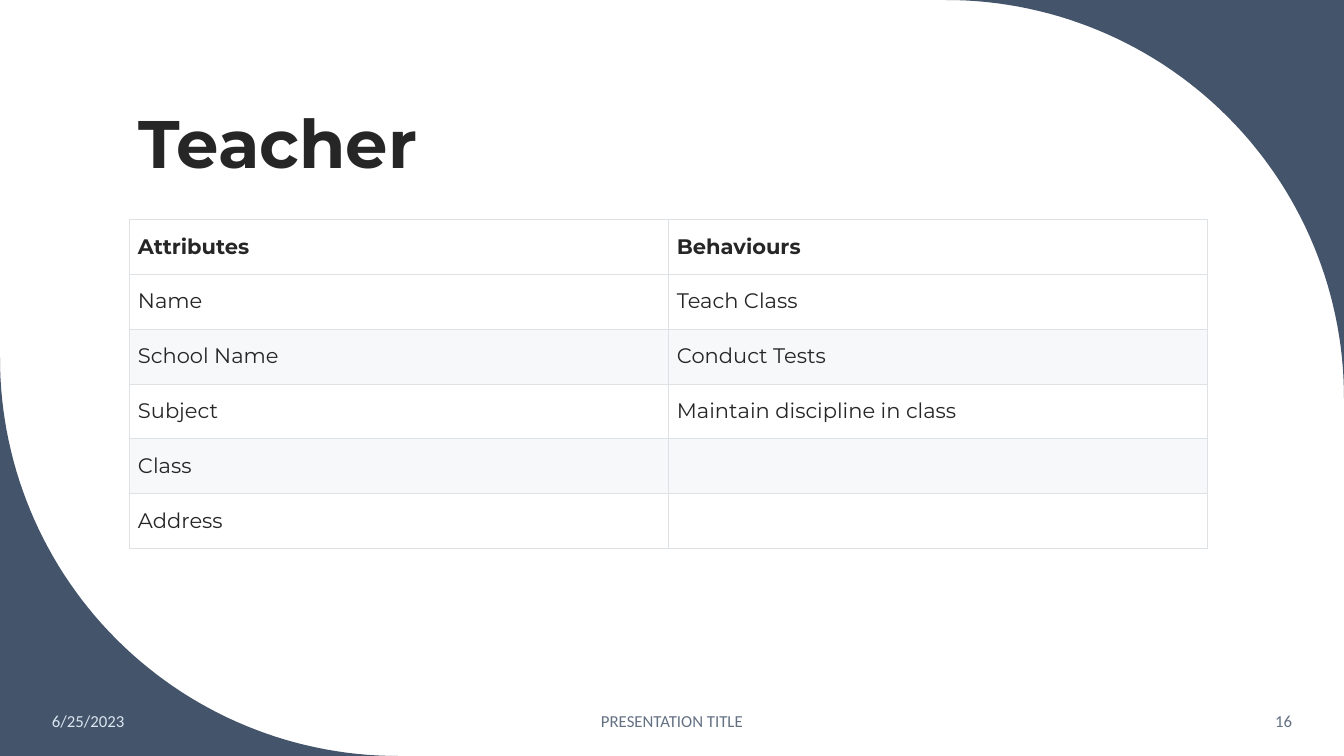
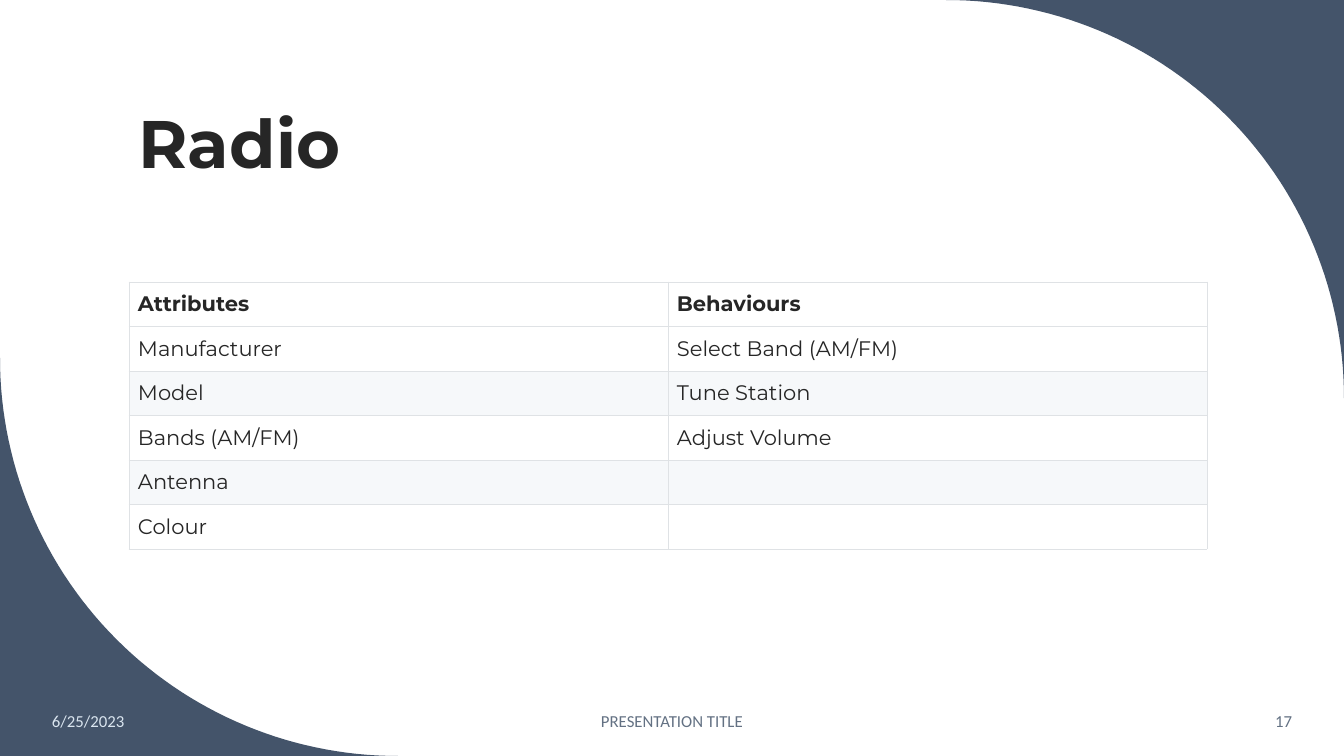
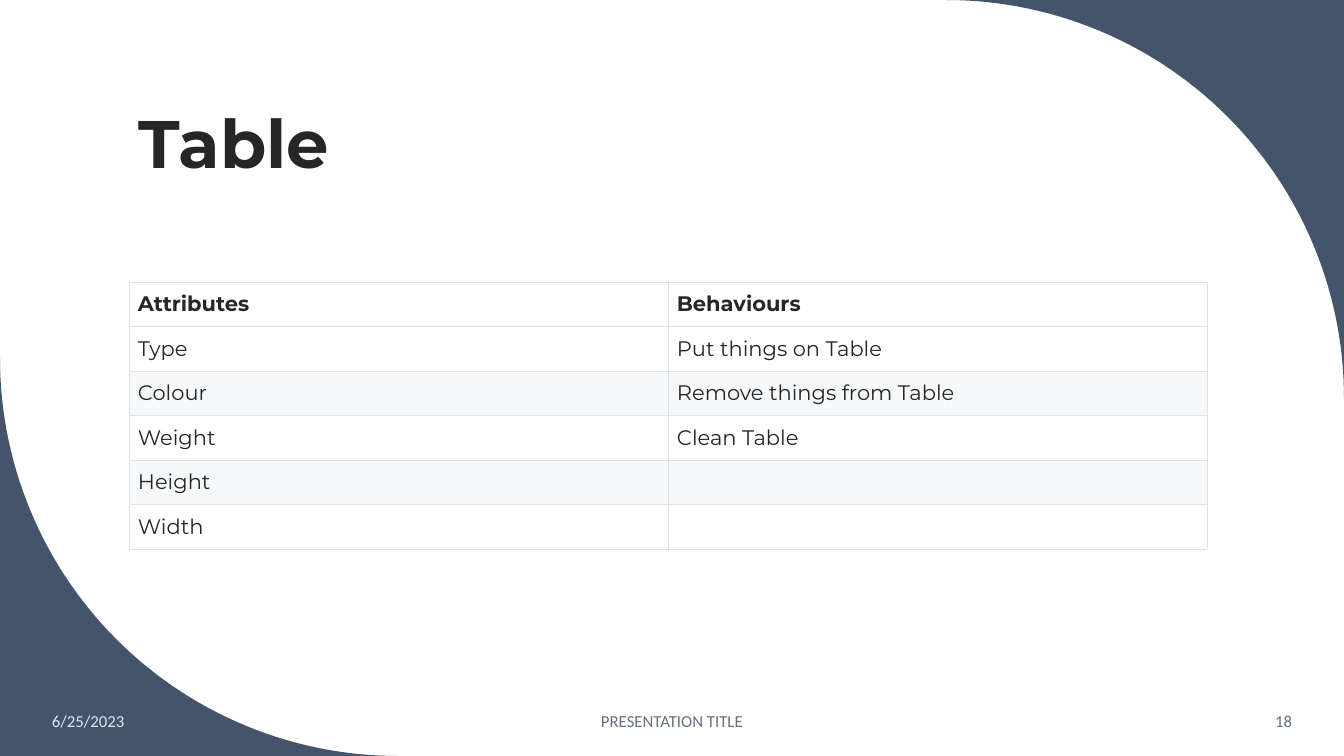
from dataclasses import dataclass
from math import cos, pi, sin

from lxml.etree import SubElement
from pptx import Presentation
from pptx.dml.color import RGBColor as Color
from pptx.enum.text import MSO_ANCHOR as Anchor, PP_ALIGN as Align
from pptx.oxml.ns import qn
from pptx.util import Pt


@dataclass(frozen=True)
class Theme:
    """Colours, fonts and type sizes shared by all slides."""
    corner: str = "44546A"
    ink: str = "262626"
    paper: str = "FFFFFF"
    stripe: str = "F6F8FA"
    border: str = "DFE2E5"
    footer: str = "637183"
    footer_on_corner: str = "DAE5EF"
    heading_font: str = "Montserrat"
    footer_font: str = "Calibri"
    title_size: int = 48
    table_size: int = 15
    footer_size: int = 12
    border_width: float = 0.6


THEME = Theme()
EMU_PER_PIXEL = 914400 / 100.8
WIDTH, HEIGHT = 1344, 756
CORNER_RADIUS = 398
ARC_STEPS = 60
TABLE_LEFT, TABLE_WIDTH, TABLE_BOTTOM = 129, 1078, 549
CELL_MARGIN = 9

TITLE_FORMAT = {"name": THEME.heading_font, "size": Pt(THEME.title_size), "bold": True}
TABLE_FORMAT = {"name": THEME.heading_font, "size": Pt(THEME.table_size)}
FOOTER_FORMAT = {"name": THEME.footer_font, "size": Pt(THEME.footer_size), "bold": False}

HEADER = ("Attributes", "Behaviours")
SLIDES = [
    ("Teacher", 16, 219, [
        ("Name", "Teach Class"),
        ("School Name", "Conduct Tests"),
        ("Subject", "Maintain discipline in class"),
        ("Class", ""),
        ("Address", ""),
    ]),
    ("Radio", 17, 282, [
        ("Manufacturer", "Select Band (AM/FM)"),
        ("Model", "Tune Station"),
        ("Bands (AM/FM)", "Adjust Volume"),
        ("Antenna", ""),
        ("Colour", ""),
    ]),
    ("Table", 18, 282, [
        ("Type", "Put things on Table"),
        ("Colour", "Remove things from Table"),
        ("Weight", "Clean Table"),
        ("Height", ""),
        ("Width", ""),
    ]),
]


def emu(pixels):
    """Turn pixels into EMU."""
    return round(pixels * EMU_PER_PIXEL)


def write(paragraph, text, color, formats):
    """Add one run to a paragraph and format it."""
    run = paragraph.add_run()
    run.text = text
    run.font.color.rgb = Color.from_string(color)
    for name, value in formats.items():
        setattr(run.font, name, value)


# The top right corner outline; the bottom left one is the same turned by 180 degrees.
angles = [pi / 2 * step / ARC_STEPS for step in range(ARC_STEPS + 1)]
top_right = [(WIDTH, 0)] + [
    (WIDTH - CORNER_RADIUS * (1 - sin(angle)), CORNER_RADIUS * (1 - cos(angle)))
    for angle in angles
]
bottom_left = [(WIDTH - x, HEIGHT - y) for x, y in top_right]

presentation = Presentation()
presentation.slide_width, presentation.slide_height = emu(WIDTH), emu(HEIGHT)
blank_layout = presentation.slide_layouts[6]

for title, number, table_top, body in SLIDES:
    slide = presentation.slides.add_slide(blank_layout)
    slide.background.fill.solid()
    slide.background.fill.fore_color.rgb = Color.from_string(THEME.paper)

    for outline in (top_right, bottom_left):
        points = [(emu(x), emu(y)) for x, y in outline]
        builder = slide.shapes.build_freeform(*points[0])
        builder.add_line_segments(points[1:], close=True)
        corner = builder.convert_to_shape()
        corner.shadow.inherit = False
        corner.fill.solid()
        corner.fill.fore_color.rgb = Color.from_string(THEME.corner)
        corner.line.fill.background()

    texts = [
        (title, (129, 42, 1078, 146), Anchor.BOTTOM, Align.LEFT, 0.9,
         THEME.ink, TITLE_FORMAT),
        ("6/25/2023", (42, 701, 187, 40), Anchor.MIDDLE, Align.LEFT, 1.0,
         THEME.footer_on_corner, FOOTER_FORMAT),
        ("PRESENTATION TITLE", (445, 701, 454, 40), Anchor.MIDDLE, Align.CENTER, 1.0,
         THEME.footer, FOOTER_FORMAT),
        (str(number), (1119, 701, 183, 40), Anchor.MIDDLE, Align.RIGHT, 1.0,
         THEME.footer, FOOTER_FORMAT),
    ]
    for text, box, anchor, alignment, spacing, color, formats in texts:
        frame = slide.shapes.add_textbox(*map(emu, box)).text_frame
        frame.word_wrap = True
        frame.vertical_anchor = anchor
        paragraph = frame.paragraphs[0]
        paragraph.alignment = alignment
        paragraph.line_spacing = spacing
        write(paragraph, text, color, formats)

    rows = [HEADER] + body
    table = slide.shapes.add_table(
        len(rows), len(HEADER), emu(TABLE_LEFT), emu(table_top),
        emu(TABLE_WIDTH), emu(TABLE_BOTTOM - table_top),
    ).table
    table.first_row = table.horz_banding = False
    for row_index, row in enumerate(rows):
        striped = row_index > 0 and row_index % 2 == 0
        for column_index, text in enumerate(row):
            cell = table.cell(row_index, column_index)
            cell.vertical_anchor = Anchor.MIDDLE
            properties = cell._tc.get_or_add_tcPr()
            for side in ("a:lnL", "a:lnR", "a:lnT", "a:lnB"):
                border = SubElement(properties, qn(side), w=str(Pt(THEME.border_width)))
                border_fill = SubElement(border, qn("a:solidFill"))
                SubElement(border_fill, qn("a:srgbClr"), val=THEME.border)
            cell.fill.solid()
            cell.fill.fore_color.rgb = Color.from_string(
                THEME.stripe if striped else THEME.paper)
            if text:
                for side in ("left", "right", "top", "bottom"):
                    setattr(cell, f"margin_{side}", emu(CELL_MARGIN))
                write(cell.text_frame.paragraphs[0], text, THEME.ink,
                      {**TABLE_FORMAT, "bold": row_index == 0})

presentation.save("out.pptx")
